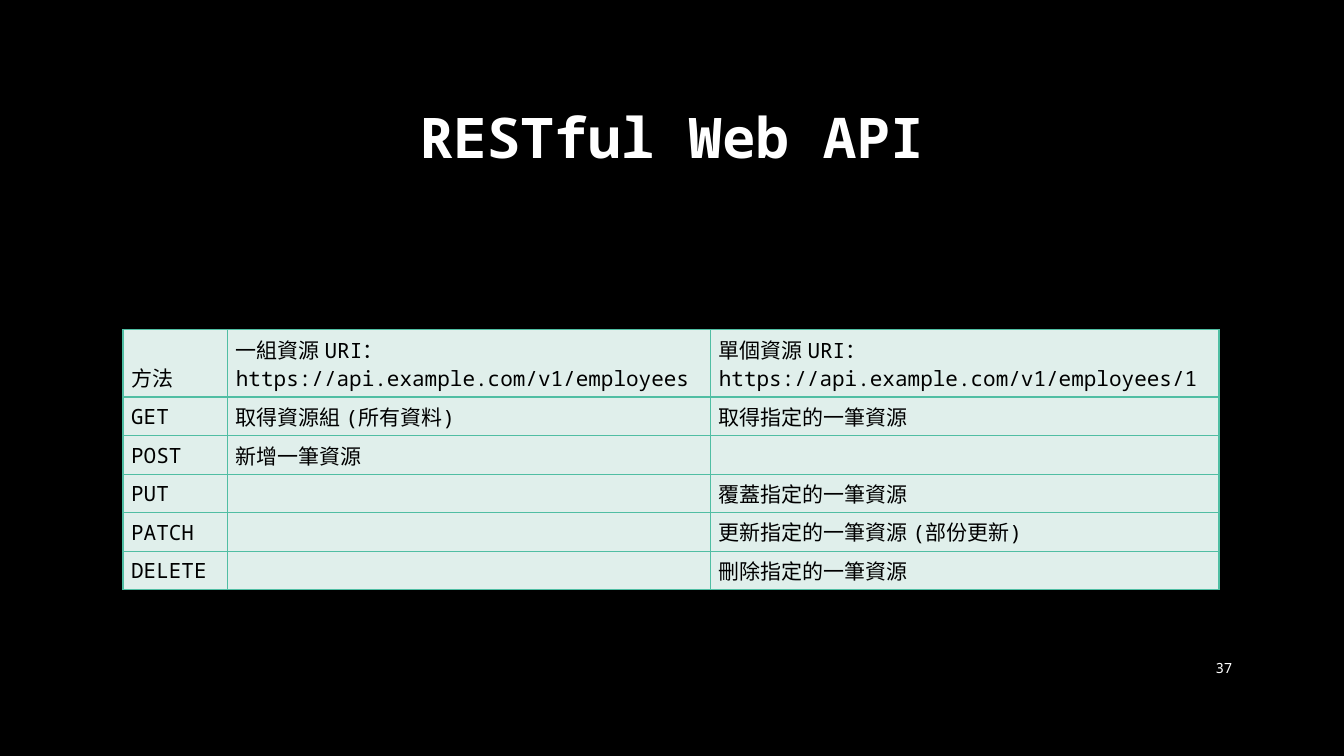
from lxml import etree
from pptx import Presentation
from pptx.dml.color import RGBColor
from pptx.enum.text import MSO_ANCHOR, PP_ALIGN
from pptx.oxml.ns import qn
from pptx.util import Inches, Pt

MIDDLE, BOTTOM = MSO_ANCHOR.MIDDLE, MSO_ANCHOR.BOTTOM
LEFT, CENTER, RIGHT = PP_ALIGN.LEFT, PP_ALIGN.CENTER, PP_ALIGN.RIGHT
FONT = "Noto Sans Mono"
COLORS = {"back": "000000", "light": "FFFFFF", "ink": "000000",
          "cell": "E0EFEB", "border": "50BEA3"}


def write(paragraph, text, size, color, align=LEFT, bold=False):
    paragraph.text = text
    paragraph.alignment = align
    font = paragraph.font
    font.name, font.size, font.bold = FONT, Pt(size), bold
    font.color.rgb = RGBColor.from_string(COLORS[color])


def add_borders(cell):
    properties = cell._tc.get_or_add_tcPr()
    for position, side in enumerate(("lnL", "lnR", "lnT", "lnB")):
        line = etree.Element(qn(f"a:{side}"), w=str(Pt(1)))
        fill = etree.SubElement(line, qn("a:solidFill"))
        etree.SubElement(fill, qn("a:srgbClr"), val=COLORS["border"])
        properties.insert(position, line)


# Slide
prs = Presentation()
prs.slide_width, prs.slide_height = Inches(13.33), Inches(7.5)
slide = prs.slides.add_slide(prs.slide_layouts[5])
background = slide.background.fill
background.solid()
background.fore_color.rgb = RGBColor.from_string(COLORS["back"])

# Title
title = slide.shapes.title
title.left, title.top = Inches(1), Inches(0.67)
title.width, title.height = Inches(11.32), Inches(1.45)
title.text_frame.vertical_anchor = MIDDLE
heading = title.text_frame.paragraphs[0]
write(heading, "RESTful Web API", 40, "light", CENTER, True)
heading.line_spacing = 0.9

# HTTP methods and what they do to each kind of URI
methods = [
    ("方法", "一組資源 URI：\nhttps://api.example.com/v1/employees",
     "單個資源 URI：\nhttps://api.example.com/v1/employees/1"),
    ("GET", "取得資源組 (所有資料)", "取得指定的一筆資源"),
    ("POST", "新增一筆資源", ""),
    ("PUT", "", "覆蓋指定的一筆資源"),
    ("PATCH", "", "更新指定的一筆資源 (部份更新)"),
    ("DELETE", "", "刪除指定的一筆資源"),
]
column_widths = (1.04, 4.79, 5.04)
row_heights = [0.64] + [0.33] * (len(methods) - 1)
table = slide.shapes.add_table(
    len(methods), len(column_widths), Inches(1.22), Inches(3.27),
    Inches(sum(column_widths)), Inches(sum(row_heights))).table
table.first_row = table.horz_banding = False
for column, width in zip(table.columns, column_widths):
    column.width = Inches(width)
for row, height in zip(table.rows, row_heights):
    row.height = Inches(height)

for r, entries in enumerate(methods):
    for c, entry in enumerate(entries):
        cell = table.cell(r, c)
        cell.margin_left = cell.margin_right = Inches(0.08)
        cell.margin_top = cell.margin_bottom = Inches(0.04)
        cell.vertical_anchor = MIDDLE if r else BOTTOM
        cell.fill.solid()
        cell.fill.fore_color.rgb = RGBColor.from_string(COLORS["cell"])
        add_borders(cell)
        write(cell.text_frame.paragraphs[0], entry, 15, "ink")

# Page number
page = slide.shapes.add_textbox(Inches(11.5), Inches(6.43), Inches(0.82), Inches(0.4))
page.text_frame.word_wrap = True
page.text_frame.vertical_anchor = MIDDLE
write(page.text_frame.paragraphs[0], "37", 10, "light", RIGHT)

prs.save("out.pptx")
